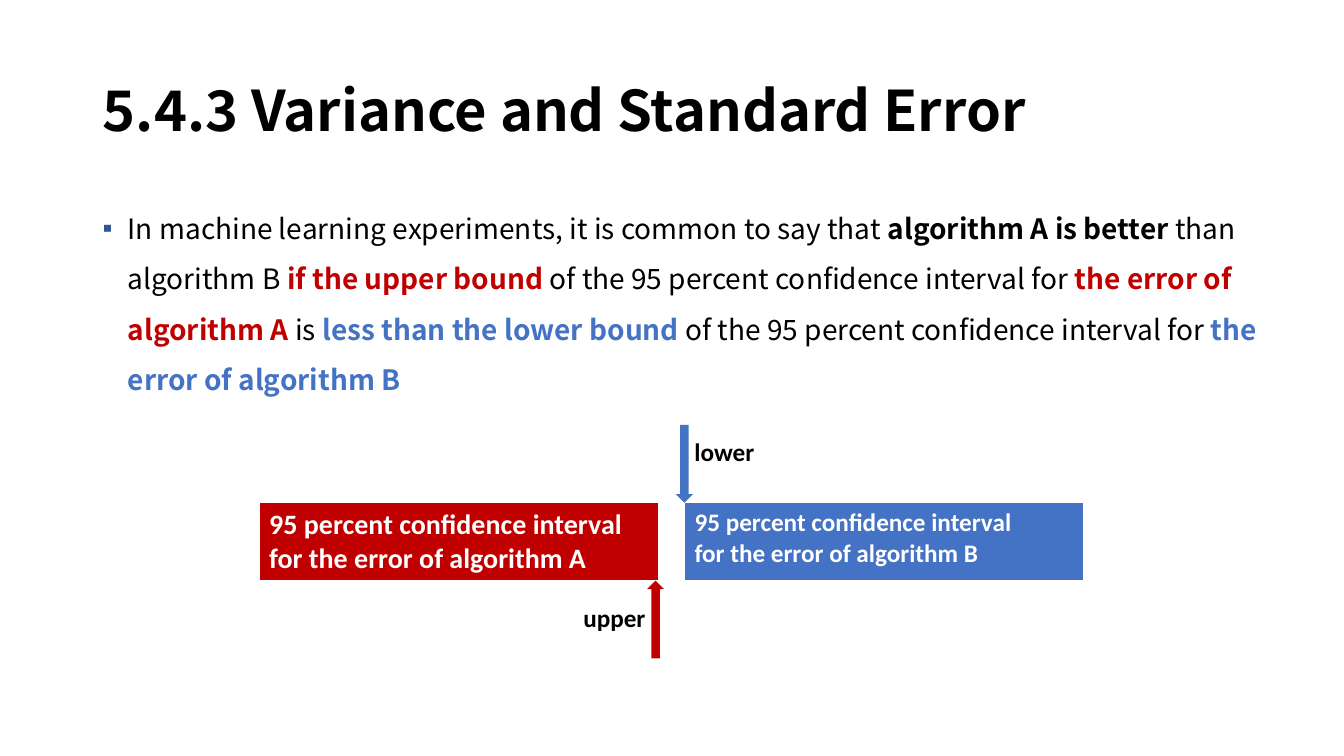
from lxml.etree import SubElement
from pptx import Presentation
from pptx.dml.color import RGBColor
from pptx.enum.shapes import MSO_SHAPE
from pptx.enum.text import MSO_ANCHOR, PP_ALIGN
from pptx.oxml.ns import qn
from pptx.util import Cm, Pt

TITLE = "5.4.3 Variance and Standard Error"
BLACK, WHITE, RED, BLUE, BULLET = "000000", "FFFFFF", "C00000", "4472C4", "2F5597"
HEADING_FONT, LABEL_FONT = "Noto Sans CJK KR", "Calibri"

STATEMENT = [  # text, colour, bold
    ("In machine learning experiments, it is common to say that ", BLACK, False),
    ("algorithm A is better ", BLACK, True),
    ("than algorithm B ", BLACK, False),
    ("if the upper bound ", RED, True),
    ("of the 95 percent conﬁdence interval for ", BLACK, False),
    ("the error of algorithm A", RED, True),
    (" is ", BLACK, False),
    ("less than the lower bound", BLUE, True),
    (" of the 95 percent conﬁdence interval for ", BLACK, False),
    ("the error of algorithm B", BLUE, True),
]
INTERVALS = [  # algorithm, left, text size, colour
    ("A", 6.53, 20, RED),
    ("B", 17.25, 18, BLUE),
]
INTERVAL_TOP, INTERVAL_WIDTH, INTERVAL_HEIGHT = 12.67, 10.06, 1.96
ARROW_WIDTH, ARROW_HEIGHT = 0.43, 1.96
BOUNDS = [  # label, label left, label top, arrow centre, arrow top, rotation, colour
    ("upper", 14.45, 15.06, 16.52, INTERVAL_TOP + INTERVAL_HEIGHT, 180, RED),
    ("lower", 17.25, 10.87, 17.25, INTERVAL_TOP - ARROW_HEIGHT, 0, BLUE),
]


def rgb(value):
    return RGBColor.from_string(value)


def add_run(paragraph, text, size, font, colour, bold=True):
    run = paragraph.add_run()
    run.text = text
    run.font.size = Pt(size)
    run.font.name = font
    run.font.bold = bold
    run.font.color.rgb = rgb(colour)


def add_bullet(paragraph, symbol, colour, indent):
    """Hang the paragraph by the indent and put a coloured symbol before it."""
    properties = paragraph._p.get_or_add_pPr()
    properties.set("marL", str(indent))
    properties.set("indent", str(-indent))
    bullet_colour = SubElement(properties, qn("a:buClr"))
    SubElement(bullet_colour, qn("a:srgbClr"), val=colour)
    SubElement(properties, qn("a:buFont"), typeface="Arial")
    SubElement(properties, qn("a:buChar"), char=symbol)


def add_text_frame(slide, left, top, width, height):
    frame = slide.shapes.add_textbox(Cm(left), Cm(top), Cm(width), Cm(height)).text_frame
    frame.word_wrap = True
    return frame


def add_title(slide):
    title = slide.shapes.title
    title.left, title.top, title.width, title.height = Cm(2.34), Cm(1.02), Cm(29.21), Cm(3.68)
    title.text_frame.vertical_anchor = MSO_ANCHOR.MIDDLE
    paragraph = title.text_frame.paragraphs[0]
    paragraph.alignment = PP_ALIGN.LEFT
    paragraph.line_spacing = 0.9
    add_run(paragraph, TITLE, 40, HEADING_FONT, BLACK)


def add_statement(slide):
    paragraph = add_text_frame(slide, 2.34, 4.78, 30.35, 12.09).paragraphs[0]
    paragraph.line_spacing = 1.5
    paragraph.space_before = Pt(16)
    add_bullet(paragraph, "▪", BULLET, Cm(0.63))
    for text, colour, bold in STATEMENT:
        add_run(paragraph, text, 20, HEADING_FONT, colour, bold)


def add_interval(slide, algorithm, left, size, colour):
    table = slide.shapes.add_table(1, 1, Cm(left), Cm(INTERVAL_TOP),
                                   Cm(INTERVAL_WIDTH), Cm(INTERVAL_HEIGHT)).table
    cell = table.cell(0, 0)
    cell.fill.solid()
    cell.fill.fore_color.rgb = rgb(colour)
    frame = cell.text_frame
    add_run(frame.paragraphs[0], "95 percent conﬁdence interval", size, LABEL_FONT, WHITE)
    add_run(frame.add_paragraph(), f"for the error of algorithm {algorithm}",
            size, LABEL_FONT, WHITE)


def add_bound(slide, label, left, top, arrow_centre, arrow_top, rotation, colour):
    arrow = slide.shapes.add_shape(MSO_SHAPE.DOWN_ARROW, Cm(arrow_centre - ARROW_WIDTH / 2),
                                   Cm(arrow_top), Cm(ARROW_WIDTH), Cm(ARROW_HEIGHT))
    arrow.rotation = rotation
    arrow.shadow.inherit = False
    arrow.fill.solid()
    arrow.fill.fore_color.rgb = rgb(colour)
    arrow.line.fill.background()
    frame = add_text_frame(slide, left, top, 2.31, 1.02)
    add_run(frame.paragraphs[0], label, 18, LABEL_FONT, BLACK)


def main():
    deck = Presentation()
    deck.slide_width, deck.slide_height = Cm(33.87), Cm(19.05)
    slide = deck.slides.add_slide(deck.slide_layouts[5])
    add_title(slide)
    add_statement(slide)
    for interval in INTERVALS:
        add_interval(slide, *interval)
    for bound in BOUNDS:
        add_bound(slide, *bound)
    deck.save("out.pptx")


if __name__ == "__main__":
    main()
